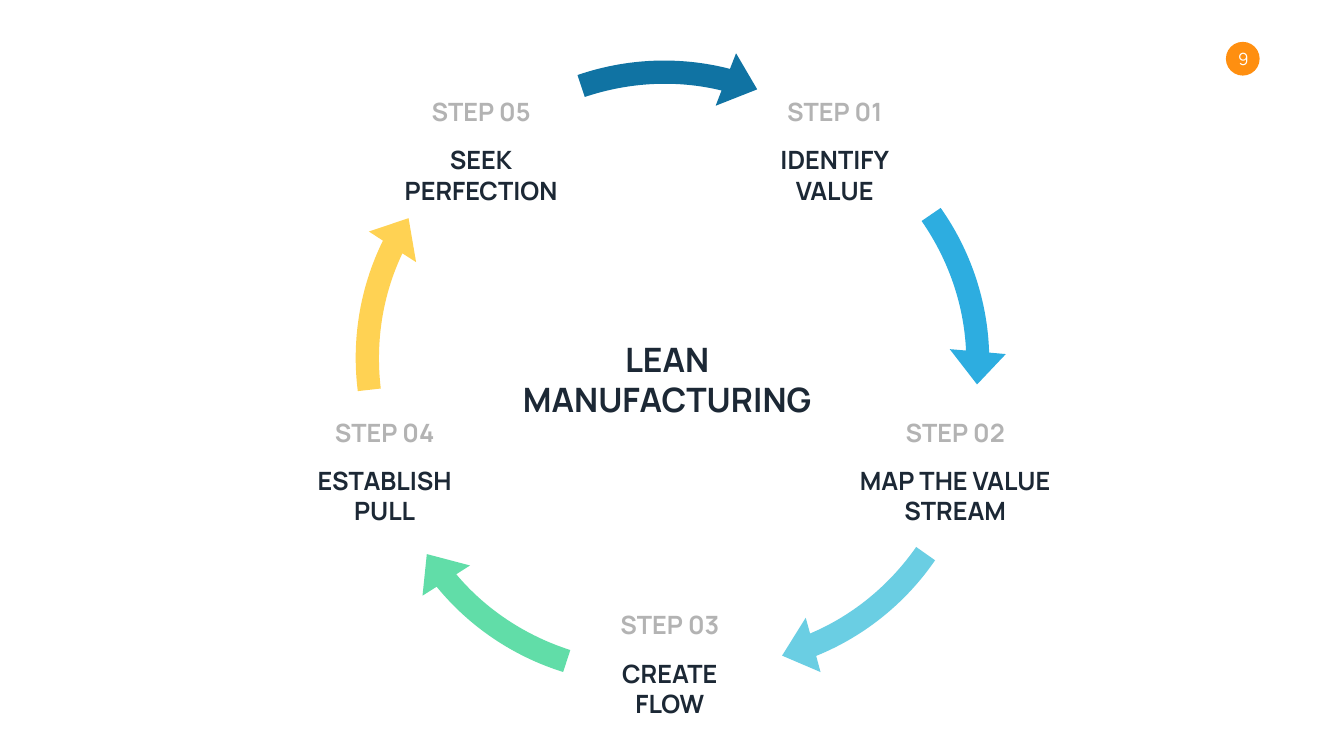
from lxml import etree
from pptx import Presentation
from pptx.dml.color import RGBColor
from pptx.enum.shapes import MSO_SHAPE
from pptx.enum.text import MSO_ANCHOR, MSO_AUTO_SIZE, PP_ALIGN
from pptx.oxml.ns import qn
from pptx.util import Cm, Pt

OVAL = MSO_SHAPE.OVAL
TOP, MIDDLE = MSO_ANCHOR.TOP, MSO_ANCHOR.MIDDLE
NO_RESIZE = MSO_AUTO_SIZE.NONE
CENTER = PP_ALIGN.CENTER
TITLE_ONLY = 5

DARK, GRAY, WHITE, ORANGE = "1C2835", "B3B3B3", "FFFFFF", "FF8F10"
LABEL_FORMAT = {"name": "Manrope", "size": Pt(36), "bold": True}
TITLE_FORMAT = {"name": "Manrope", "size": Pt(48), "bold": True}
NUMBER_FORMAT = {"name": "Manrope", "size": Pt(24), "bold": False}

LABEL_HEIGHT, NAME_HEIGHT, NAME_OFFSET = 2.03, 3.78, 2.44
STEPS = [
    ("STEP 01", ["IDENTIFY", "VALUE"], 42.06, 4.73, 5.82, 7.01),
    ("STEP 02", ["MAP THE VALUE", "STREAM"], 48.13, 20.89, 6.1, 11.84),
    ("STEP 03", ["CREATE", "FLOW"], 33.75, 30.59, 6.15, 6.12),
    ("STEP 04", ["ESTABLISH", "PULL"], 19.38, 20.89, 6.27, 8.23),
    ("STEP 05", ["SEEK", "PERFECTION"], 24.24, 4.73, 6.22, 9.42),
]

ARROW_WIDTH, ARROW_HEIGHT = 5.87, 8.09
OUTER_CURVE = [(0.75, 0), (2.77, 1.66), (4.27, 3.88), (5.04, 6.38)]
ARROW_HEAD = [(5.87, 6.23), (4.88, 8.09), (3.08, 6.74)]
INNER_CURVE = [(3.89, 6.59), (3.17, 4.37), (1.81, 2.4), (0, 0.89)]
ARROWS = [
    (48.43, 14.96, 15.4, "2DADE0"),
    (43.27, 30.76, 85.1, "6ACEE3"),
    (24.83, 30.94, 157.9, "61DDA8"),
    (19.22, 15.27, 223.4, "FFD253"),
    (33.69, 4.04, 301.6, "1073A3"),
]


def set_color(color_format, value):
    """Apply a hex colour to a fill or a font colour."""
    color_format.rgb = RGBColor.from_string(value)


def fill_shape(shape, color):
    """Give a shape a plain fill without outline or shadow."""
    shape.shadow.inherit = False
    shape.fill.solid()
    set_color(shape.fill.fore_color, color)
    shape.line.fill.background()


def write_lines(shape, lines, font_format, color, anchor):
    """Write centred paragraphs into a shape."""
    frame = shape.text_frame
    frame_format = {"word_wrap": False, "auto_size": NO_RESIZE, "vertical_anchor": anchor}
    for name, value in frame_format.items():
        setattr(frame, name, value)
    frame.text = "\n".join(lines)
    for paragraph in frame.paragraphs:
        paragraph.alignment = CENTER
        for name, value in font_format.items():
            setattr(paragraph.font, name, value)
        set_color(paragraph.font.color, color)


def add_label(slide, lines, center, top, width, height, color):
    """Add a text box centred on a horizontal position."""
    box = slide.shapes.add_textbox(Cm(center - width / 2), Cm(top), Cm(width), Cm(height))
    write_lines(box, lines, LABEL_FORMAT, color, TOP)


def add_step(slide, label, name_lines, center, top, label_width, name_width):
    """Add the number of a step and its name below."""
    add_label(slide, [label], center, top, label_width, LABEL_HEIGHT, GRAY)
    add_label(slide, name_lines, center, top + NAME_OFFSET, name_width, NAME_HEIGHT, DARK)


def bend(segments):
    """Turn three line segments into one cubic curve."""
    curve = etree.Element(qn("a:cubicBezTo"))
    segments[0].addprevious(curve)
    for segment in segments:
        curve.append(segment[0])
        segment.getparent().remove(segment)


def add_arrow(slide, center_x, center_y, rotation, color):
    """Add a curved arrow turned around its centre."""
    points = [(Cm(x), Cm(y)) for x, y in OUTER_CURVE + ARROW_HEAD + INNER_CURVE]
    builder = slide.shapes.build_freeform(*points[0])
    builder.add_line_segments(points[1:], close=True)
    left, top = center_x - ARROW_WIDTH / 2, center_y - ARROW_HEIGHT / 2
    arrow = builder.convert_to_shape(Cm(left), Cm(top))
    segments = list(arrow.element.iter(qn("a:lnTo")))
    bend(segments[:3])
    bend(segments[7:10])
    arrow.rotation = rotation
    fill_shape(arrow, color)


def add_page_number(slide, number):
    """Add the page number on a round badge."""
    badge = slide.shapes.add_shape(OVAL, Cm(61.77), Cm(2.11), Cm(1.7), Cm(1.7))
    fill_shape(badge, ORANGE)
    box = slide.shapes.add_textbox(Cm(61.77), Cm(2.34), Cm(1.75), Cm(1.27))
    write_lines(box, [number], NUMBER_FORMAT, WHITE, MIDDLE)


def place_title(slide, lines):
    """Move the title placeholder to the middle of the cycle."""
    title = slide.shapes.title
    position = {"left": Cm(25.73), "top": Cm(16.92), "width": Cm(15.77), "height": Cm(4.37)}
    for name, value in position.items():
        setattr(title, name, value)
    write_lines(title, lines, TITLE_FORMAT, DARK, MIDDLE)


def main():
    """Build and save the slide."""
    presentation = Presentation()
    presentation.slide_width, presentation.slide_height = Cm(67.72), Cm(38.1)
    slide = presentation.slides.add_slide(presentation.slide_layouts[TITLE_ONLY])
    place_title(slide, ["LEAN", "MANUFACTURING"])
    add_page_number(slide, "9")
    for step in STEPS:
        add_step(slide, *step)
    for arrow in ARROWS:
        add_arrow(slide, *arrow)
    presentation.save("out.pptx")


if __name__ == "__main__":
    main()
